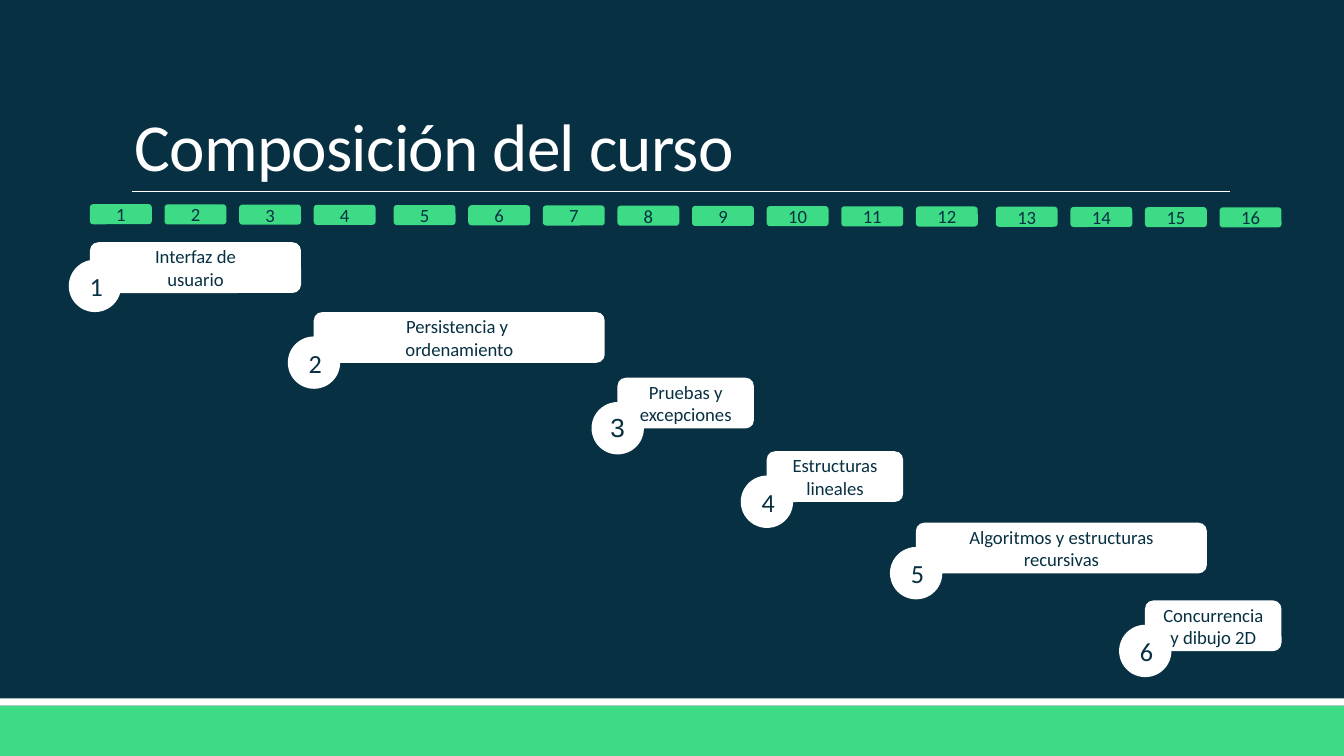
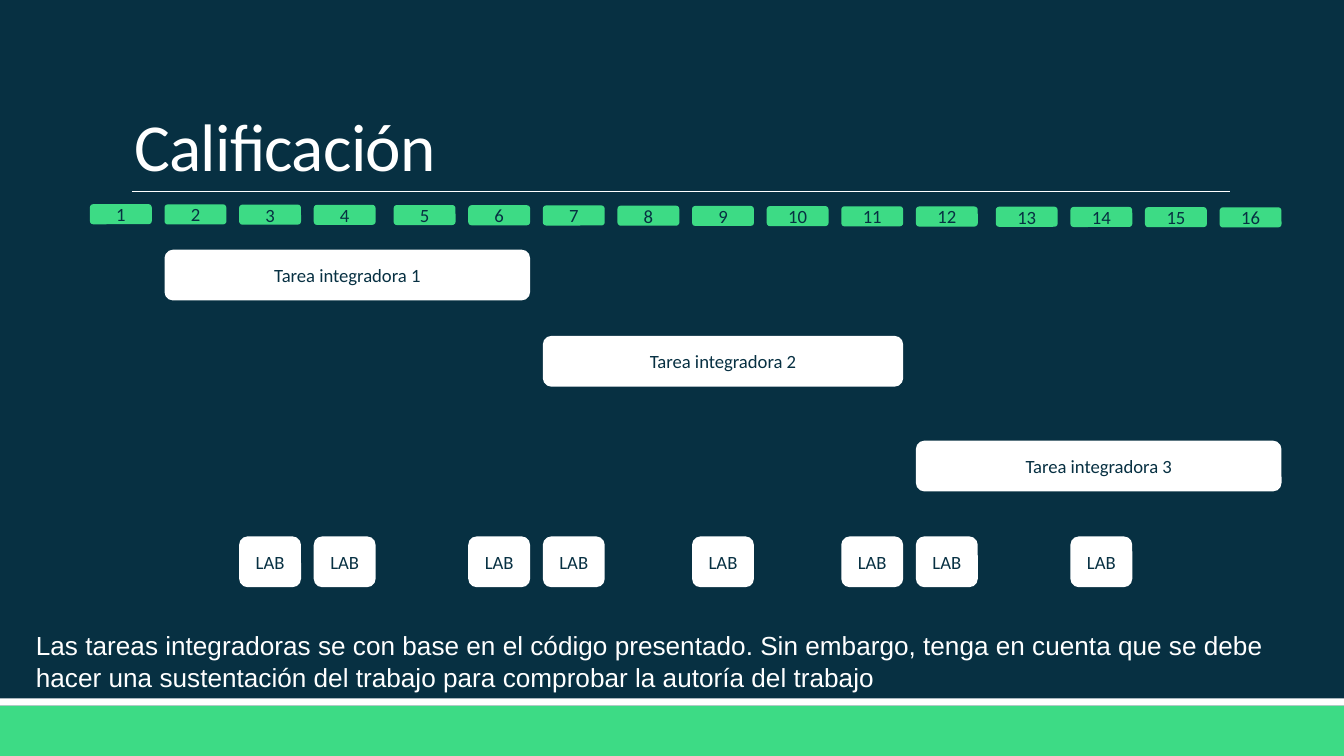
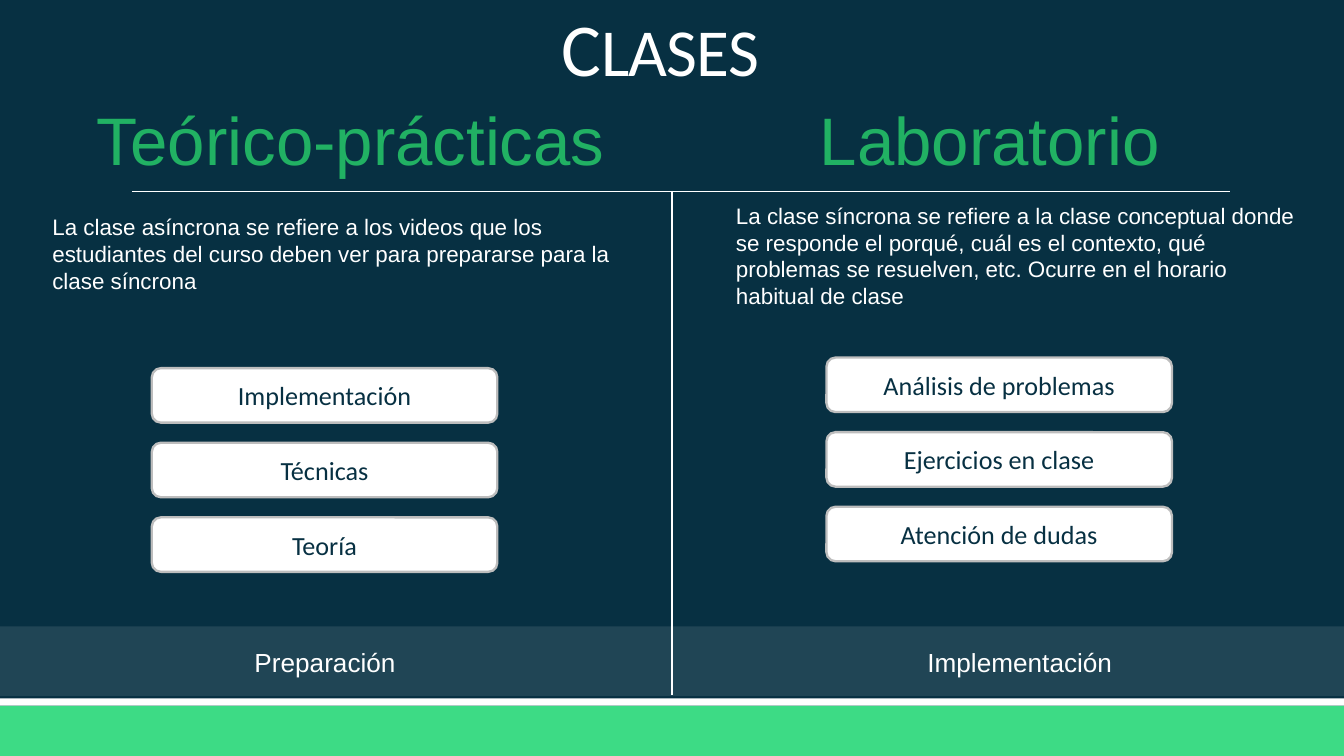
from lxml.etree import SubElement
from pptx import Presentation
from pptx.dml.color import RGBColor
from pptx.enum.shapes import MSO_CONNECTOR, MSO_SHAPE
from pptx.enum.text import MSO_ANCHOR, MSO_AUTO_SIZE, PP_ALIGN
from pptx.oxml.ns import qn
from pptx.util import Cm, Pt

COLORS = {
    "navy": "073042",
    "green": "3DDB85",
    "dark_green": "21B163",
    "white": "FFFFFF",
    "grey": "BDBDBD",
}
HEADING_FONT, BODY_FONT = "Calibri", "Arial"

# Content: topics are (lines, first week, last week, top, badge shift, badge behind bar)
COURSE_TITLE = "Composición del curso"
BADGE_SHIFT = (-0.49, 0.46)
TOPICS = [
    (["Interfaz de", "usuario"], 1, 3, 4.58, (-0.4, 0.33), False),
    (["Persistencia y ", "ordenamiento"], 4, 7, 5.9, BADGE_SHIFT, False),
    (["Pruebas y excepciones"], 8, 9, 7.14, BADGE_SHIFT, True),
    (["Estructuras lineales"], 10, 11, 8.53, BADGE_SHIFT, False),
    (["Algoritmos y estructuras recursivas"], 12, 15, 9.88, BADGE_SHIFT, False),
    (["Concurrencia y dibujo 2D"], 15, 16, 11.35, BADGE_SHIFT, False),
]

GRADING_TITLE = "Calificación"
ASSIGNMENTS = [  # text, first week, last week, top
    ("Tarea integradora 1", 2, 6, 4.72),
    ("Tarea integradora 2", 7, 11, 6.35),
    ("Tarea integradora 3", 12, 16, 8.33),
]
LAB_WEEKS = [3, 4, 6, 7, 9, 11, 12, 14]
LAB_TOP = 10.14
GRADING_NOTE = (
    "Las tareas integradoras se con base en el código presentado. Sin embargo, "
    "tenga en cuenta que se debe hacer una sustentación del trabajo para "
    "comprobar la autoría del trabajo"
)

CLASS_COLUMNS = [
    {
        "heading": ("Teórico-prácticas", (1.22, 1.73, 10.82, 1.8)),
        "description": (
            "La clase asíncrona se refiere a los videos que los estudiantes del "
            "curso deben ver para prepararse para la clase síncrona",
            (0.74, 3.91, 11.23, 1.8),
        ),
        "activities": ["Implementación", "Técnicas", "Teoría"],
        "activities_at": (2.87, 6.96),
        "stage": ("Preparación", (3.07, 12.09, 6.15, 0.86)),
    },
    {
        "heading": ("Laboratorio", (14.5, 1.73, 8.41, 1.8)),
        "description": (
            "La clase síncrona se refiere a la clase conceptual donde se responde "
            "el porqué, cuál es el contexto, qué problemas se resuelven, etc. "
            "Ocurre en el horario habitual de clase",
            (13.66, 3.69, 11.23, 2.31),
        ),
        "activities": ["Análisis de problemas", "Ejercicios en clase", "Atención de dudas"],
        "activities_at": (15.62, 6.76),
        "stage": ("Implementación", (16.2, 12.09, 6.15, 0.86)),
    },
]

# Layout, in centimetres
SLIDE_WIDTH, SLIDE_HEIGHT = 25.4, 14.29
TITLE_BOX = (2.29, 0.61, 20.96, 3.02)
WEEK_COUNT = 16
WEEK_LEFT, WEEK_STEP, WEEK_WIDTH, WEEK_HEIGHT = 1.7, 1.41, 1.17, 0.38
WEEK_TOP, WEEK_DRIFT = 3.86, 0.06
BLOCK_GAP = 0.1  # extra gap after weeks 4 and 12
BAR_HEIGHT = 0.96
BADGE_SIZE = 0.99
NUMBER_INSET, NUMBER_WIDTH, NUMBER_HEIGHT = 0.1, 0.79, 0.86
ACTIVITY_WIDTH, ACTIVITY_HEIGHT, ACTIVITY_STEP = 6.53, 1.03, 1.41


def rgb(color):
    return RGBColor.from_string(COLORS[color])


# Drawing helpers
def add_run(paragraph, text, size, font, color, spacing=None):
    run = paragraph.add_run()
    run.text = text
    run.font.size = Pt(size)
    run.font.name = font
    run.font.color.rgb = rgb(color)
    if spacing is not None:
        run.font._element.set("spc", str(spacing))


def add_block(slide, preset, box, fill, border=None, opacity=None):
    block = slide.shapes.add_shape(preset, *map(Cm, box))
    block.shadow.inherit = False
    block.fill.solid()
    block.fill.fore_color.rgb = rgb(fill)
    if opacity is not None:
        hue = block.fill._xPr.find(qn("a:solidFill"))[0]
        SubElement(hue, qn("a:alpha")).set("val", str(opacity * 1000))
    if border:
        block.line.color.rgb = rgb(border)
        block.line.width = Pt(1.25)
    else:
        block.line.fill.background()
    return block


def add_label(slide, preset, box, fill, lines, size=10, border=None):
    frame = add_block(slide, preset, box, fill, border).text_frame
    frame.vertical_anchor = MSO_ANCHOR.MIDDLE
    for index, line in enumerate(lines):
        paragraph = frame.add_paragraph() if index else frame.paragraphs[0]
        paragraph.alignment = PP_ALIGN.CENTER
        add_run(paragraph, line, size, HEADING_FONT, "navy")


def add_text(slide, text, box, size, color="white", align=PP_ALIGN.LEFT, wrap=True):
    frame = slide.shapes.add_textbox(*map(Cm, box)).text_frame
    frame.word_wrap = wrap
    frame.auto_size = MSO_AUTO_SIZE.SHAPE_TO_FIT_TEXT
    frame.paragraphs[0].alignment = align
    add_run(frame.paragraphs[0], text, size, BODY_FONT, color)


def add_title(slide, parts, box=TITLE_BOX, align=PP_ALIGN.LEFT):
    frame = slide.shapes.add_textbox(*map(Cm, box)).text_frame
    frame.word_wrap = True
    frame.vertical_anchor = MSO_ANCHOR.BOTTOM
    paragraph = frame.paragraphs[0]
    paragraph.alignment = align
    paragraph.line_spacing = 0.85
    for text, size in parts:
        add_run(paragraph, text, size, HEADING_FONT, "white", spacing=-40)


def add_rule(slide, ends, width):
    rule = slide.shapes.add_connector(MSO_CONNECTOR.STRAIGHT, *map(Cm, ends))
    rule.line.color.rgb = rgb("white")
    rule.line.width = Pt(width)
    SubElement(rule._element.spPr, qn("a:effectLst"))


def add_base_slide(deck):
    slide = deck.slides.add_slide(deck.slide_layouts[6])
    add_block(slide, MSO_SHAPE.RECTANGLE, (0, 13.34, SLIDE_WIDTH, 0.95), "green")
    add_block(slide, MSO_SHAPE.RECTANGLE, (0, 13.2, SLIDE_WIDTH, 0.14), "white")
    add_rule(slide, (2.49, 3.62, 23.24, 3.62), 0.5)
    return slide


# Week timeline
def week_left(week):
    gaps = (week > 4) + (week > 12)
    return WEEK_LEFT + (week - 1) * WEEK_STEP + gaps * BLOCK_GAP


def add_weeks(slide):
    for week in range(1, WEEK_COUNT + 1):
        top = WEEK_TOP + WEEK_DRIFT * (week - 1) / (WEEK_COUNT - 1)
        box = (week_left(week), top, WEEK_WIDTH, WEEK_HEIGHT)
        add_label(slide, MSO_SHAPE.ROUNDED_RECTANGLE, box, "green", [str(week)])


def add_week_bar(slide, lines, first, last, top):
    left = week_left(first)
    box = (left, top, week_left(last) + WEEK_WIDTH - left, BAR_HEIGHT)
    add_label(slide, MSO_SHAPE.ROUNDED_RECTANGLE, box, "white", lines)


def add_topic(slide, number, lines, first, last, top, shift, badge_behind):
    badge_left, badge_top = week_left(first) + shift[0], top + shift[1]
    badge = (badge_left, badge_top, BADGE_SIZE, BADGE_SIZE)
    if badge_behind:  # the bar's text stays clear, and the number goes on top
        add_block(slide, MSO_SHAPE.OVAL, badge, "white")
        add_week_bar(slide, lines, first, last, top)
        number_box = (badge_left + NUMBER_INSET, badge_top + NUMBER_INSET / 2,
                      NUMBER_WIDTH, NUMBER_HEIGHT)
        add_text(slide, str(number), number_box, 14, "navy", PP_ALIGN.CENTER, wrap=False)
    else:
        add_week_bar(slide, lines, first, last, top)
        add_label(slide, MSO_SHAPE.OVAL, badge, "white", [str(number)], 14)


# Slides
def build_course(deck):
    slide = add_base_slide(deck)
    add_title(slide, [(COURSE_TITLE, 36)])
    add_weeks(slide)
    for number, topic in enumerate(TOPICS, 1):
        add_topic(slide, number, *topic)


def build_grading(deck):
    slide = add_base_slide(deck)
    add_title(slide, [(GRADING_TITLE, 36)])
    add_weeks(slide)
    for assignment, first, last, top in ASSIGNMENTS:
        add_week_bar(slide, [assignment], first, last, top)
    for week in LAB_WEEKS:
        add_week_bar(slide, ["LAB"], week, week, LAB_TOP)
    add_text(slide, GRADING_NOTE, (0.43, 11.78, 24.26, 1.45), 14)


def build_classes(deck):
    slide = add_base_slide(deck)
    add_block(slide, MSO_SHAPE.RECTANGLE, (0, 11.84, SLIDE_WIDTH, 1.32), "white", opacity=10)
    add_title(slide, [("C", 40), ("LASES", 36)], (0.86, 0.16, 23.24, 1.7), PP_ALIGN.CENTER)
    for column in CLASS_COLUMNS:
        add_text(slide, *column["heading"], 36, "dark_green", PP_ALIGN.CENTER)
        add_text(slide, *column["description"], 12)
        add_text(slide, *column["stage"], 14, align=PP_ALIGN.CENTER)
        left, top = column["activities_at"]
        for row, activity in enumerate(column["activities"]):
            box = (left, top + row * ACTIVITY_STEP, ACTIVITY_WIDTH, ACTIVITY_HEIGHT)
            add_label(slide, MSO_SHAPE.ROUNDED_RECTANGLE, box, "white", [activity], 14, "grey")
    add_rule(slide, (12.7, 3.61, 12.7, 13.13), 1)


def main():
    deck = Presentation()
    deck.slide_width, deck.slide_height = Cm(SLIDE_WIDTH), Cm(SLIDE_HEIGHT)
    backdrop = deck.slide_master.background.fill
    backdrop.solid()
    backdrop.fore_color.rgb = rgb("navy")
    build_course(deck)
    build_grading(deck)
    build_classes(deck)
    deck.save("out.pptx")


if __name__ == "__main__":
    main()
